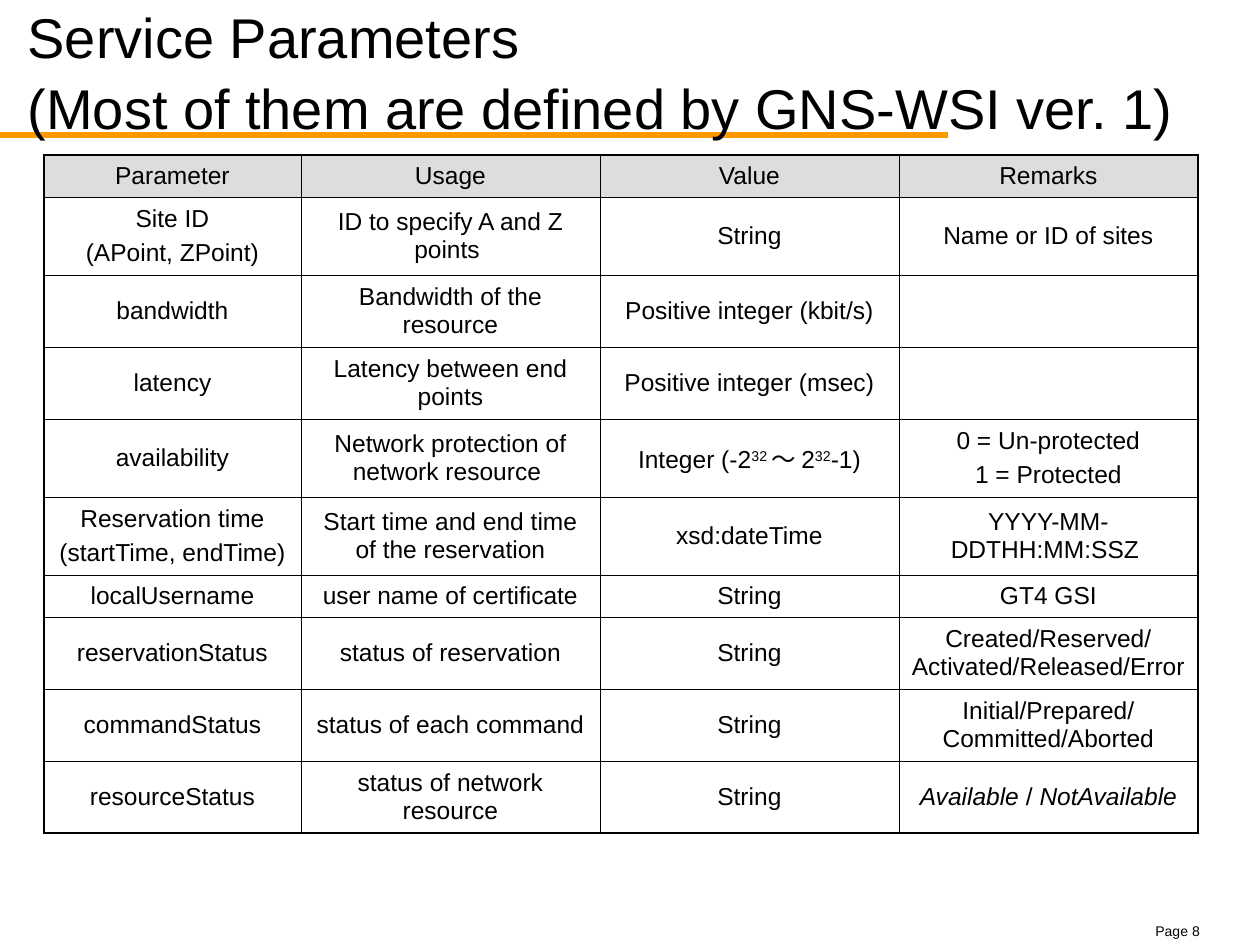
from lxml.etree import SubElement
from pptx import Presentation
from pptx.dml.color import RGBColor
from pptx.enum.shapes import MSO_CONNECTOR
from pptx.enum.text import MSO_ANCHOR, MSO_AUTO_SIZE, PP_ALIGN
from pptx.oxml.ns import qn
from pptx.util import Emu, Pt

COLOURS = {"text": "000000", "border": "000000", "header": "DDDDDD", "rule": "FF9900"}
FONT = "Arial"


def px(length):
    return Emu(round(length * 914400 / 126))


def add_span(para, text, size, style=""):
    span = para.add_run()
    span.text = text
    span.font.name = FONT
    span.font.size = Pt(size)
    span.font.color.rgb = RGBColor.from_string(COLOURS["text"])
    if style == "italic":
        span.font.italic = True
    if style == "super":
        span._r.get_or_add_rPr().set("baseline", "30000")


deck = Presentation()
deck.slide_width = px(1260)
deck.slide_height = px(945)
page = deck.slides.add_slide(deck.slide_layouts[5])

title = page.shapes.title
title.left, title.top, title.width, title.height = px(15), px(33), px(1230), px(73)
title.text_frame.word_wrap = True
title.text_frame.auto_size = MSO_AUTO_SIZE.NONE
title.text_frame.vertical_anchor = MSO_ANCHOR.MIDDLE
para = title.text_frame.paragraphs[0]
para.alignment = PP_ALIGN.LEFT
para.line_spacing = 1.06
add_span(para, "Service Parameters ", 32)
para.add_line_break()
add_span(para, "(Most of them are defined by GNS-WSI ver. 1)", 32)

rule = page.shapes.add_connector(MSO_CONNECTOR.STRAIGHT, px(0), px(135), px(948), px(135))
rule.line.color.rgb = RGBColor.from_string(COLOURS["rule"])
rule.line.width = Pt(3)
SubElement(rule.element.spPr, qn("a:effectLst"))
title.element.addprevious(rule.element)

page_number = page.shapes.add_textbox(px(1143), px(916), px(126), px(30))
page_number.text_frame.word_wrap = True
add_span(page_number.text_frame.paragraphs[0], "Page 8", 8)

integer_range = [("Integer (-2", ""), ("32 ", "super"), ("～ 2", ""), ("32", "super"), ("-1)", "")]
availability_states = [("Available ", "italic"), ("/ ", ""), ("NotAvailable", "italic")]
SHORT, MEDIUM, TALL = 42, 72, 78
rows = [
    (SHORT, "Parameter", "Usage", "Value", "Remarks"),
    (TALL, "Site ID\n(APoint, ZPoint)", "ID to specify A and Z points ", "String", "Name or ID of sites"),
    (MEDIUM, "bandwidth", "Bandwidth of the resource", "Positive integer (kbit/s)", ""),
    (MEDIUM, "latency", "Latency between end points", "Positive integer (msec)", ""),
    (TALL, "availability", "Network protection of network resource ", integer_range,
     "0 = Un-protected\n1 = Protected"),
    (TALL, "Reservation time\n(startTime, endTime)", "Start time and end time of the reservation",
     "xsd:dateTime", "YYYY-MM-DDTHH:MM:SSZ "),
    (SHORT, "localUsername", "user name of certificate", "String", "GT4 GSI"),
    (MEDIUM, "reservationStatus", "status of reservation", "String",
     "Created/Reserved/Activated/Released/Error"),
    (MEDIUM, "commandStatus", "status of each command", "String", "Initial/Prepared/Committed/Aborted"),
    (MEDIUM, "resourceStatus", "status of network resource", "String", availability_states),
]
widths = [257, 299, 299, 299]
heights = [row[0] for row in rows]

frame = page.shapes.add_table(len(rows), len(widths), px(44), px(155), px(sum(widths)), px(sum(heights)))
table = frame.table
table.first_row = False
table.horz_banding = False
for column, width in zip(table.columns, widths):
    column.width = px(width)

for row_index, (height, *contents) in enumerate(rows):
    table.rows[row_index].height = px(height)
    for column_index, content in enumerate(contents):
        cell = table.cell(row_index, column_index)
        cell.vertical_anchor = MSO_ANCHOR.MIDDLE
        outer_edges = {
            "a:lnL": column_index == 0,
            "a:lnR": column_index == len(widths) - 1,
            "a:lnT": row_index == 0,
            "a:lnB": row_index == len(rows) - 1,
        }
        properties = cell._tc.get_or_add_tcPr()
        for edge, is_outer in outer_edges.items():
            border = SubElement(properties, qn(edge), w=str(Pt(1.08 if is_outer else 0.45)))
            border_fill = SubElement(border, qn("a:solidFill"))
            SubElement(border_fill, qn("a:srgbClr"), val=COLOURS["border"])
        if row_index == 0:
            cell.fill.solid()
            cell.fill.fore_color.rgb = RGBColor.from_string(COLOURS["header"])
        else:
            cell.fill.background()

        if isinstance(content, list):
            lines = [content]
        else:
            lines = [[(line, "")] for line in content.split("\n") if line]
        for line_index, line in enumerate(lines):
            if line_index == 0:
                para = cell.text_frame.paragraphs[0]
            else:
                para = cell.text_frame.add_paragraph()
                para.space_before = Pt(3.5)
            para.alignment = PP_ALIGN.CENTER
            for text, style in line:
                add_span(para, text, 14, style)

deck.save("out.pptx")
